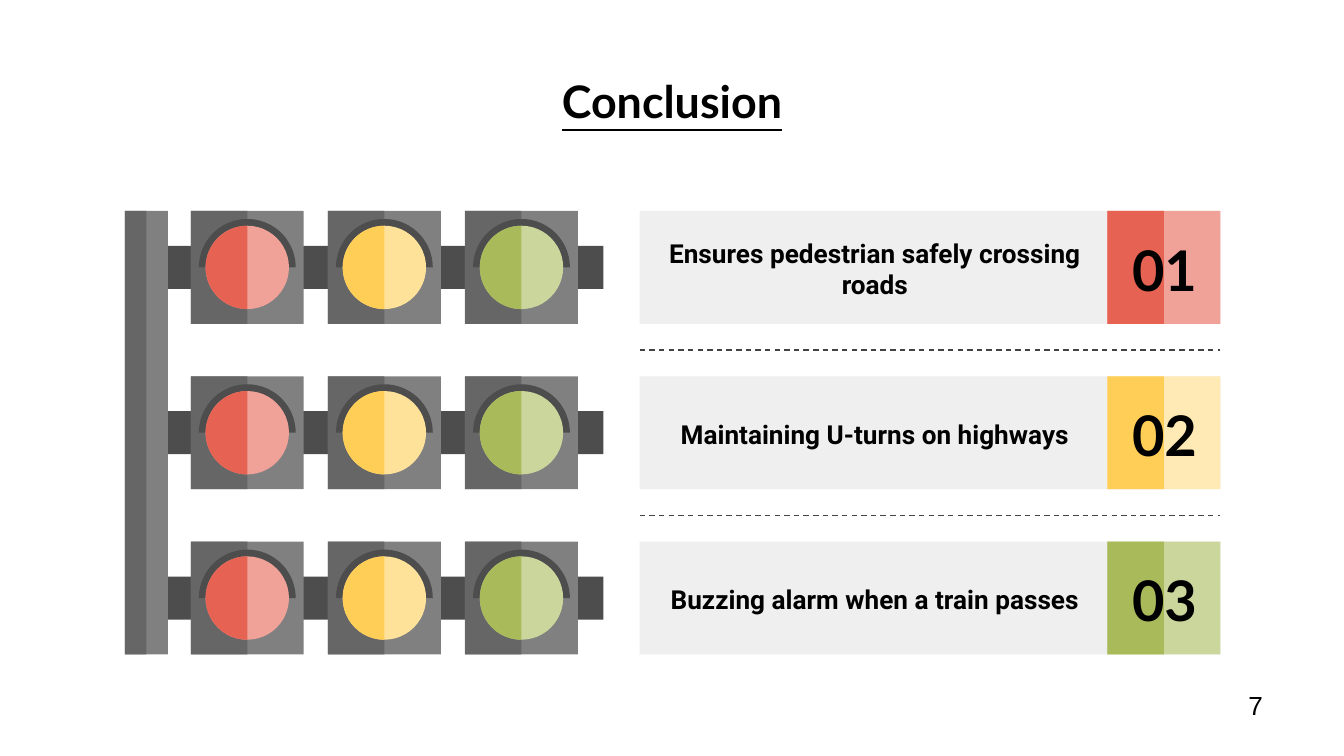
"""Build the conclusion slide: three rows of traffic lights beside three numbered points."""
from dataclasses import dataclass
from math import cos, pi, sin

from pptx import Presentation
from pptx.dml.color import RGBColor
from pptx.enum.dml import MSO_LINE_DASH_STYLE as Dash
from pptx.enum.shapes import MSO_CONNECTOR_TYPE as Connector, MSO_SHAPE as Shape
from pptx.enum.text import MSO_ANCHOR as Anchor, PP_ALIGN as Align
from pptx.oxml.ns import qn
from pptx.slide import Slide
from pptx.util import Inches, Pt

BLACK, DARK, MID, LIGHT, PANEL, DIVIDER = "000000", "4D4D4D", "666666", "808080", "EFEFEF", "434343"
TOP, ROW_STEP = 1.57, 1.23
LAMP_LEFT, LAMP_STEP, SIDE = 1.42, 1.02, 0.84
LAMP_RADIUS, VISOR_RADIUS = 0.31, 0.36
POLE_LEFT, POLE_WIDTH = 0.93, 0.32
ARM_LEFT, ARM_WIDTH, ARM_HEIGHT = 1.22, 3.27, 0.32
PANEL_LEFT, PANEL_WIDTH, BADGE_LEFT = 4.76, 4.32, 8.24
ARC_STEPS = 48


@dataclass(frozen=True)
class Lamp:
    left_color: str
    right_color: str


@dataclass(frozen=True)
class Point:
    number: str
    text: str
    left_color: str
    right_color: str


@dataclass(frozen=True)
class TextStyle:
    font: str
    size: int
    bold: bool = True
    underline: bool = False
    align: Align = Align.CENTER
    anchor: Anchor = Anchor.MIDDLE
    wrap: bool = True
    inset_x: float = 0.1
    inset_top: float = 0.1
    inset_bottom: float = 0.1
    indent: float = 0


LAMPS = (
    Lamp("E66353", "F0A198"),
    Lamp("FFCE56", "FFE29A"),
    Lamp("A9BA5A", "CBD69C"),
)
POINTS = (
    Point("01", "Ensures pedestrian safely crossing roads", "E66353", "F0A198"),
    Point("02", "Maintaining U-turns on highways", "FFCE56", "FFEAB5"),
    Point("03", "Buzzing alarm when a train passes", "A9BA5A", "CBD69C"),
)
TITLE = TextStyle("Lato", 24, underline=True, anchor=Anchor.TOP)
BODY = TextStyle("Roboto", 14, inset_x=0, inset_top=0.01, inset_bottom=0, indent=0.01)
NUMBER = TextStyle("Lato", 30, indent=0.01)
PAGE = TextStyle("Arial", 14, bold=False, align=Align.LEFT, anchor=Anchor.TOP, wrap=False,
                 inset_top=0.05, inset_bottom=0.05)


def color(value: str) -> RGBColor:
    return RGBColor.from_string(value)


def paint(shape, fill: str) -> None:
    shape.shadow.inherit = False
    shape.fill.solid()
    shape.fill.fore_color.rgb = color(fill)
    shape.line.fill.background()


def add_preset(slide: Slide, kind: Shape, left: float, top: float, width: float, height: float, fill: str) -> None:
    paint(slide.shapes.add_shape(kind, Inches(left), Inches(top), Inches(width), Inches(height)), fill)


def add_split_box(slide: Slide, left: float, top: float, width: float, height: float,
                  left_color: str, right_color: str) -> None:
    add_preset(slide, Shape.RECTANGLE, left, top, width, height, right_color)
    add_preset(slide, Shape.RECTANGLE, left, top, width / 2, height, left_color)


def add_half_disc(slide: Slide, center_x: float, center_y: float, radius: float, start: float, fill: str) -> None:
    angles = [start + pi * step / ARC_STEPS for step in range(ARC_STEPS + 1)]
    outline = [(Inches(center_x + radius * cos(angle)), Inches(center_y + radius * sin(angle))) for angle in angles]
    builder = slide.shapes.build_freeform(*outline[0])
    builder.add_line_segments(outline[1:], close=True)
    paint(builder.convert_to_shape(), fill)


def add_lamp(slide: Slide, left: float, top: float, lamp: Lamp) -> None:
    center_x, center_y = left + SIDE / 2, top + SIDE / 2
    add_split_box(slide, left, top, SIDE, SIDE, MID, LIGHT)
    add_half_disc(slide, center_x, center_y, VISOR_RADIUS, pi, DARK)
    add_preset(slide, Shape.OVAL, center_x - LAMP_RADIUS, center_y - LAMP_RADIUS,
               2 * LAMP_RADIUS, 2 * LAMP_RADIUS, lamp.right_color)
    add_half_disc(slide, center_x, center_y, LAMP_RADIUS, pi / 2, lamp.left_color)


def add_lamp_row(slide: Slide, top: float) -> None:
    add_preset(slide, Shape.RECTANGLE, ARM_LEFT, top + (SIDE - ARM_HEIGHT) / 2, ARM_WIDTH, ARM_HEIGHT, DARK)
    for column, lamp in enumerate(LAMPS):
        add_lamp(slide, LAMP_LEFT + column * LAMP_STEP, top, lamp)


def add_text(slide: Slide, left: float, top: float, width: float, height: float, text: str, style: TextStyle) -> None:
    frame = slide.shapes.add_textbox(Inches(left), Inches(top), Inches(width), Inches(height)).text_frame
    frame_format = {
        "word_wrap": style.wrap,
        "vertical_anchor": style.anchor,
        "margin_left": Inches(style.inset_x),
        "margin_right": Inches(style.inset_x),
        "margin_top": Inches(style.inset_top),
        "margin_bottom": Inches(style.inset_bottom),
    }
    for name, value in frame_format.items():
        setattr(frame, name, value)
    paragraph = frame.paragraphs[0]
    paragraph.alignment = style.align
    paragraph._p.get_or_add_pPr().set("marL", str(Inches(style.indent)))
    run = paragraph.add_run()
    run.text = text
    font_format = {"name": style.font, "size": Pt(style.size), "bold": style.bold, "underline": style.underline}
    for name, value in font_format.items():
        setattr(run.font, name, value)
    run.font.color.rgb = color(BLACK)


def add_divider(slide: Slide, top: float) -> None:
    connector = slide.shapes.add_connector(
        Connector.STRAIGHT, Inches(PANEL_LEFT), Inches(top), Inches(PANEL_LEFT + PANEL_WIDTH), Inches(top))
    connector.line.color.rgb = color(DIVIDER)
    connector.line.width = Pt(0.75)
    connector.line.dash_style = Dash.DASH
    properties = connector.element.spPr
    properties.append(properties.makeelement(qn("a:effectLst"), {}))


def add_point(slide: Slide, top: float, point: Point) -> None:
    add_preset(slide, Shape.RECTANGLE, PANEL_LEFT, top, PANEL_WIDTH, SIDE, PANEL)
    add_split_box(slide, BADGE_LEFT, top, SIDE, SIDE, point.left_color, point.right_color)
    add_text(slide, 4.9, top + 0.12, 3.21, 0.61, point.text, BODY)
    add_text(slide, BADGE_LEFT, top + 0.24, SIDE, 0.38, point.number, NUMBER)


def main() -> None:
    presentation = Presentation()
    presentation.slide_width = Inches(10)
    presentation.slide_height = Inches(10 * 9 / 16)
    slide = presentation.slides.add_slide(presentation.slide_layouts[6])
    add_text(slide, 0.5, 0.45, 9, 0.44, "Conclusion", TITLE)
    row_tops = [TOP + row * ROW_STEP for row in range(len(POINTS))]
    for top in row_tops:
        add_lamp_row(slide, top)
    add_split_box(slide, POLE_LEFT, TOP, POLE_WIDTH, row_tops[-1] + SIDE - TOP, MID, LIGHT)
    for top, point in zip(row_tops, POINTS):
        add_point(slide, top, point)
    for top in row_tops[1:]:
        add_divider(slide, top - (ROW_STEP - SIDE) / 2)
    add_text(slide, 9.19, 5.08, 0.31, 0.34, "7", PAGE)
    presentation.save("out.pptx")


if __name__ == "__main__":
    main()
